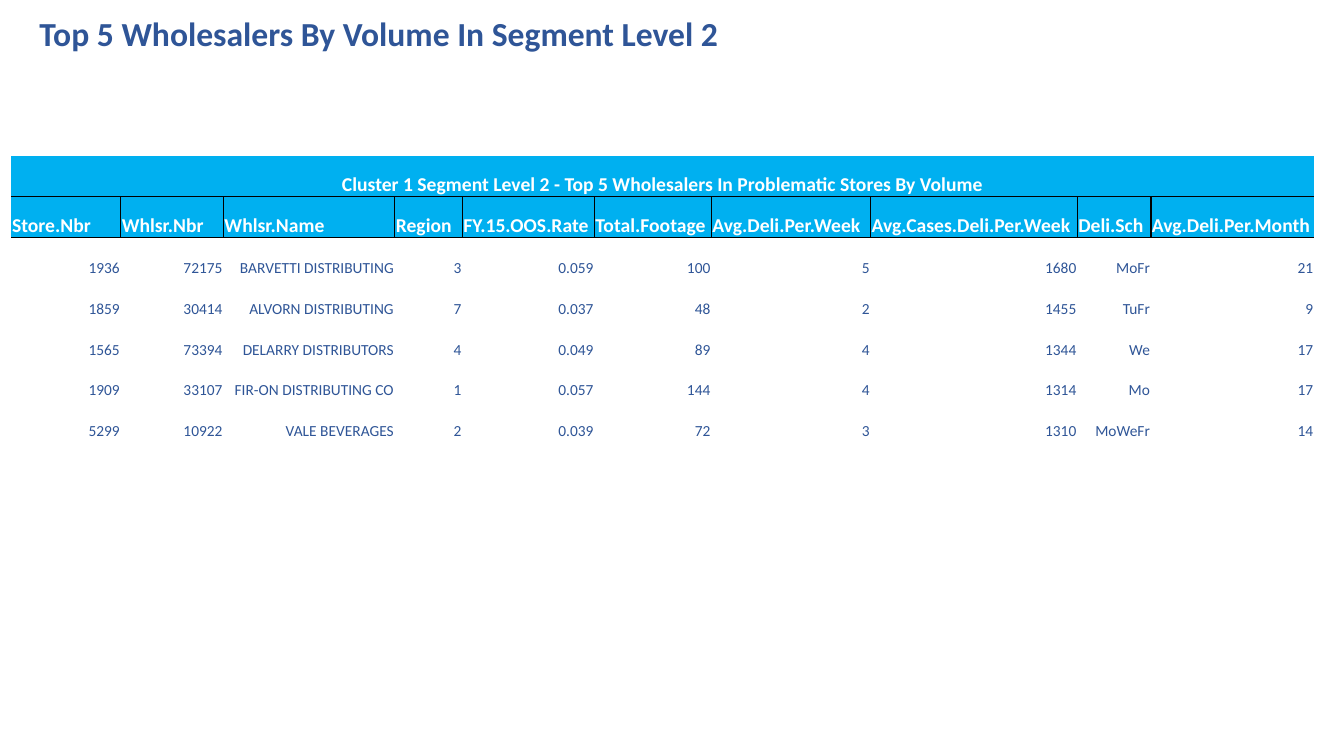
from dataclasses import dataclass

from lxml import etree
from pptx import Presentation
from pptx.dml.color import RGBColor
from pptx.enum import text
from pptx.oxml import ns
from pptx.util import Pt

FONT = "Calibri"
NAVY, SKY, WHITE, BLACK = "2F5597", "00B0F0", "FFFFFF", "000000"
NO_GRID_STYLE = "{2D5ABB26-0587-4C30-8999-92F81FD0307C}"
ROW_HEIGHT = 29


@dataclass(frozen=True)
class Look:
    """Text and fill of one kind of cell."""
    size: float
    color: str
    bold: bool
    align: text.PP_ALIGN
    fill: str = ""


@dataclass(frozen=True)
class Column:
    """One table column: heading, width in points, and values."""
    heading: str
    width: float
    values: tuple[str, ...]


BANNER = Look(14, WHITE, True, text.PP_ALIGN.CENTER, SKY)
HEADING = Look(14, WHITE, True, text.PP_ALIGN.LEFT, SKY)
VALUE = Look(11, NAVY, False, text.PP_ALIGN.RIGHT)

COLUMNS = [
    Column("Store.Nbr", 78.4, ("1936", "1859", "1565", "1909", "5299")),
    Column("Whlsr.Nbr", 73.4, ("72175", "30414", "73394", "33107", "10922")),
    Column("Whlsr.Name", 122.4, (
        "BARVETTI DISTRIBUTING", "ALVORN DISTRIBUTING", "DELARRY DISTRIBUTORS",
        "FIR-ON DISTRIBUTING CO", "VALE BEVERAGES")),
    Column("Region", 48.2, ("3", "7", "4", "1", "2")),
    Column("FY.15.OOS.Rate", 94.4, ("0.059", "0.037", "0.049", "0.057", "0.039")),
    Column("Total.Footage", 83.5, ("100", "48", "89", "144", "72")),
    Column("Avg.Deli.Per.Week", 113.8, ("5", "2", "4", "4", "3")),
    Column("Avg.Cases.Deli.Per.Week", 147.6, ("1680", "1455", "1344", "1314", "1310")),
    Column("Deli.Sch", 52.6, ("MoFr", "TuFr", "We", "Mo", "MoWeFr")),
    Column("Avg.Deli.Per.Month", 116.6, ("21", "9", "17", "17", "14")),
]


def rgb(color: str) -> RGBColor:
    """Turn a hex string into a colour."""
    return RGBColor.from_string(color)


def add_run(paragraph, words: str, size: float, color: str, bold: bool) -> None:
    """Append one formatted run."""
    run = paragraph.add_run()
    run.text = words
    run.font.name = FONT
    run.font.size = Pt(size)
    run.font.bold = bold
    run.font.color.rgb = rgb(color)


def add_borders(cell, sides: str) -> None:
    """Draw 1 pt black borders on the given sides, listed in L, R, T, B order."""
    properties = cell._tc.get_or_add_tcPr()
    for index, side in enumerate(sides):
        line = etree.Element(ns.qn(f"a:ln{side}"), w=str(Pt(1)))
        fill = etree.SubElement(line, ns.qn("a:solidFill"))
        etree.SubElement(fill, ns.qn("a:srgbClr"), val=BLACK)
        properties.insert(index, line)


def fill_cell(cell, words: str, look: Look, sides: str = "") -> None:
    """Write and format one cell."""
    cell.margin_left = cell.margin_right = cell.margin_top = Pt(0.7)
    cell.margin_bottom = Pt(0)
    cell.vertical_anchor = text.MSO_ANCHOR.BOTTOM
    if look.fill:
        cell.fill.solid()
        cell.fill.fore_color.rgb = rgb(look.fill)
    else:
        cell.fill.background()
    paragraph = cell.text_frame.paragraphs[0]
    paragraph.alignment = look.align
    add_run(paragraph, words, look.size, look.color, look.bold)
    add_borders(cell, sides)


def add_title(slide, words: str) -> None:
    """Place and format the slide title."""
    title = slide.shapes.title
    title.left, title.top, title.width, title.height = Pt(21), Pt(12), Pt(828), Pt(27)
    frame = title.text_frame
    frame.vertical_anchor = text.MSO_ANCHOR.MIDDLE
    frame.word_wrap = True
    paragraph = frame.paragraphs[0]
    paragraph.alignment = text.PP_ALIGN.LEFT
    paragraph.line_spacing = 0.9
    add_run(paragraph, words, 24, NAVY, True)


def add_wholesalers(slide, banner: str) -> None:
    """Add the wholesaler table under its banner."""
    row_count = 2 + len(COLUMNS[0].values)
    width = sum(column.width for column in COLUMNS)
    table = slide.shapes.add_table(
        row_count, len(COLUMNS), Pt(7.9), Pt(111.6), Pt(width),
        Pt(ROW_HEIGHT * row_count)).table
    table.horz_banding = False
    table._tbl.tblPr.find(ns.qn("a:tableStyleId")).text = NO_GRID_STYLE
    for row in table.rows:
        row.height = Pt(ROW_HEIGHT)

    last = len(COLUMNS) - 1
    table.cell(0, 0).merge(table.cell(0, last))
    fill_cell(table.cell(0, 0), banner, BANNER, "B")
    for index, column in enumerate(COLUMNS):
        table.columns[index].width = Pt(column.width)
        sides = ("L" if index > 0 else "") + ("R" if index < last else "") + "T"
        fill_cell(table.cell(1, index), column.heading, HEADING, sides)
        for row_index, value in enumerate(column.values, start=2):
            fill_cell(table.cell(row_index, index), value, VALUE)


def main() -> None:
    """Build and save the slide."""
    deck = Presentation()
    deck.slide_width, deck.slide_height = Pt(960), Pt(540)
    slide = deck.slides.add_slide(deck.slide_layouts[5])
    add_title(slide, "Top 5 Wholesalers By Volume In Segment Level 2")
    add_wholesalers(
        slide,
        "Cluster 1 Segment Level 2 - Top 5 Wholesalers In Problematic Stores By Volume")
    deck.save("out.pptx")


main()
